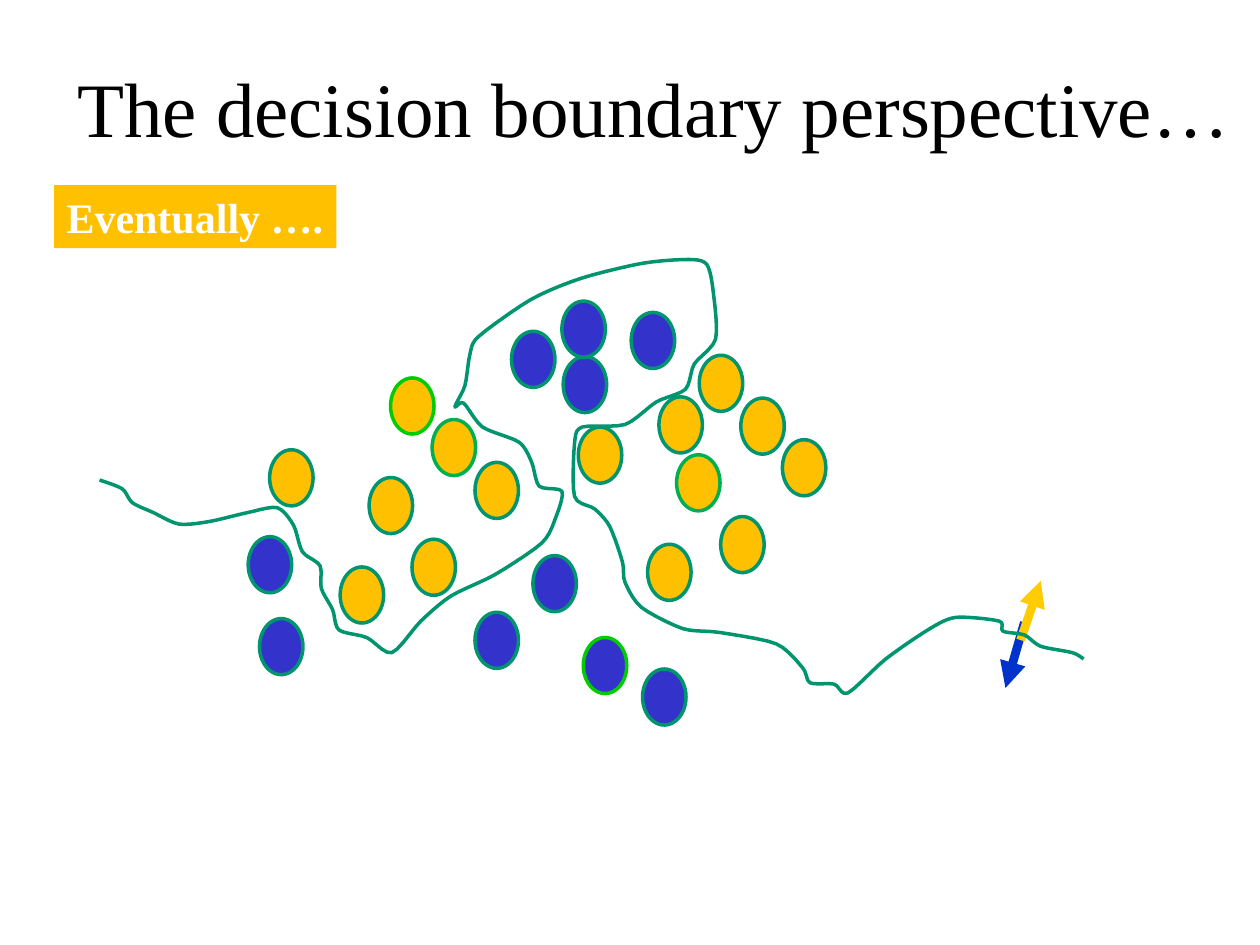
"""Build the decision boundary slide: two point classes and the learned boundary."""
from lxml import etree
from pptx import Presentation
from pptx import util as u
from pptx.dml.color import RGBColor
from pptx.enum import shapes, text
from pptx.oxml.ns import qn

TITLE = "The decision boundary perspective…"
LABEL = "Eventually …."
THEME = {
    "font": "Times New Roman", "title_size": 44, "label_size": 24,
    "black": "000000", "white": "FFFFFF", "orange": "FFC000", "indigo": "3333CC",
    "teal": "00956F", "green": "00B050", "lime": "00CC00",
    "yellow": "FFCC00", "blue": "0033CC", "outline": 2, "arrow": 5,
}
DOT_SIZE = (0.345, 0.445)
DOTS = {
    ("indigo", "teal"): [
        (5.1, 5.31), (4.06, 2.63), (2.06, 4.91), (1.97, 4.26), (5.01, 2.48),
        (4.47, 2.83), (3.77, 4.86), (4.23, 4.41), (4.46, 2.39)],
    ("indigo", "lime"): [(4.63, 5.06)],
    ("orange", "teal"): [
        (2.93, 3.79), (3.27, 4.28), (3.77, 3.67), (2.7, 4.5), (2.14, 3.57),
        (5.55, 2.82), (5.88, 3.16), (5.72, 4.1), (6.21, 3.49), (5.14, 4.32),
        (4.59, 3.39), (5.23, 3.15)],
    ("orange", "lime"): [(3.1, 3)],
    ("orange", "green"): [(3.43, 3.33), (5.37, 3.61)],
}
ARROWS = [("blue", (8.13, 4.94), (7.98, 5.46)), ("yellow", (8.1, 5.08), (8.26, 4.61))]
BOUNDARY = [
    (0.79, 3.81), (0.97, 3.88), (1.05, 3.99), (1.22, 4.07), (1.42, 4.16), (1.66, 4.14),
    (1.96, 4.07), (2.2, 4.03), (2.33, 4.17), (2.4, 4.38), (2.54, 4.49), (2.55, 4.67),
    (2.64, 4.84), (2.69, 5), (2.91, 5.06), (3.11, 5.18), (3.34, 4.93), (3.58, 4.73),
    (3.93, 4.56), (4.3, 4.31), (4.41, 4.11), (4.46, 3.9), (4.28, 3.86), (4.22, 3.67),
    (4.12, 3.51), (3.83, 3.39), (3.68, 3.2), (3.61, 3.23), (3.69, 3.06), (3.73, 2.81),
    (3.8, 2.67), (4.21, 2.38), (4.61, 2.21), (5.1, 2.09), (5.47, 2.06), (5.61, 2.1),
    (5.66, 2.31), (5.68, 2.69), (5.51, 2.89), (5.44, 3.09), (5.21, 3.19), (4.96, 3.37),
    (4.62, 3.39), (4.56, 3.52), (4.56, 3.94), (4.72, 4.04), (4.84, 4.18), (4.94, 4.46),
    (4.96, 4.62), (5.09, 4.82), (5.42, 4.99), (5.71, 5.02), (6.16, 5.11), (6.37, 5.3),
    (6.43, 5.42), (6.62, 5.43), (6.73, 5.5), (7.03, 5.23), (7.38, 4.99), (7.59, 4.9),
    (7.93, 4.93), (7.96, 5.01), (8.13, 5.04), (8.26, 5.13), (8.51, 5.18), (8.6, 5.23),
]
STEPS = 5


def rgb(name):
    return RGBColor.from_string(THEME[name])


def inches(*values):
    return [u.Inches(v) for v in values]


def set_fill(sp, color):
    sp.fill.solid()
    sp.fill.fore_color.rgb = rgb(color)


def set_line(sp, color, width):
    sp.line.color.rgb = rgb(color)
    sp.line.width = u.Pt(THEME[width])


def place(sp, *box):
    sp.left, sp.top, sp.width, sp.height = inches(*box)


def write(sp, words, size, color, align, anchor, bold=False):
    tf = sp.text_frame
    tf.text = words
    tf.vertical_anchor = anchor
    p = tf.paragraphs[0]
    p.alignment = align
    font = p.runs[0].font
    font.name, font.size, font.bold = THEME["font"], u.Pt(THEME[size]), bold
    font.color.rgb = rgb(color)
    return tf


def add_arrow(s, color, start, end):
    sp = s.shapes.add_connector(shapes.MSO_CONNECTOR.STRAIGHT, *inches(*start, *end))
    set_line(sp, color, "arrow")
    etree.SubElement(sp.line._get_or_add_ln(), qn("a:tailEnd"), type="triangle")
    etree.SubElement(sp._element.spPr, qn("a:effectLst"))


def blend(a, b, c, d, t):
    """Return the Hermite value between b and c, with gentle tangents."""
    m, n = 0.4 * (c - a), 0.4 * (d - b)
    return b + m * t + (3 * (c - b) - 2 * m - n) * t**2 + (2 * (b - c) + m + n) * t**3


def smooth(points):
    padded = [points[0], *points, points[-1]]
    curve = [
        tuple(blend(*axis, step / STEPS) for axis in zip(*padded[i:i + 4]))
        for i in range(len(points) - 1) for step in range(STEPS)
    ]
    return curve + [points[-1]]


def add_boundary(s):
    points = [inches(*point) for point in smooth(BOUNDARY)]
    builder = s.shapes.build_freeform(*points[0])
    builder.add_line_segments(points[1:], close=False)
    sp = builder.convert_to_shape()
    sp.shadow.inherit = False
    sp.fill.background()
    set_line(sp, "teal", "outline")


def main():
    prs = Presentation()
    prs.slide_width, prs.slide_height = inches(10, 7.5)
    s = prs.slides.add_slide(prs.slide_layouts[5])

    title = s.shapes.title
    place(title, 0.38, 0.44, 9.62, 0.82)
    write(title, TITLE, "title_size", "black", text.PP_ALIGN.CENTER, text.MSO_ANCHOR.MIDDLE)

    for (fill, outline), spots in DOTS.items():
        for spot in spots:
            sp = s.shapes.add_shape(shapes.MSO_SHAPE.OVAL, *inches(*spot, *DOT_SIZE))
            sp.shadow.inherit = False
            set_fill(sp, fill)
            set_line(sp, outline, "outline")

    for arrow in ARROWS:
        add_arrow(s, *arrow)

    label = s.shapes.add_textbox(*inches(0.43, 1.47, 2.24, 0.5))
    set_fill(label, "orange")
    tf = write(label, LABEL, "label_size", "white", text.PP_ALIGN.LEFT,
               text.MSO_ANCHOR.TOP, bold=True)
    tf.word_wrap = False
    tf.auto_size = text.MSO_AUTO_SIZE.SHAPE_TO_FIT_TEXT

    add_boundary(s)
    prs.save("out.pptx")


if __name__ == "__main__":
    main()
